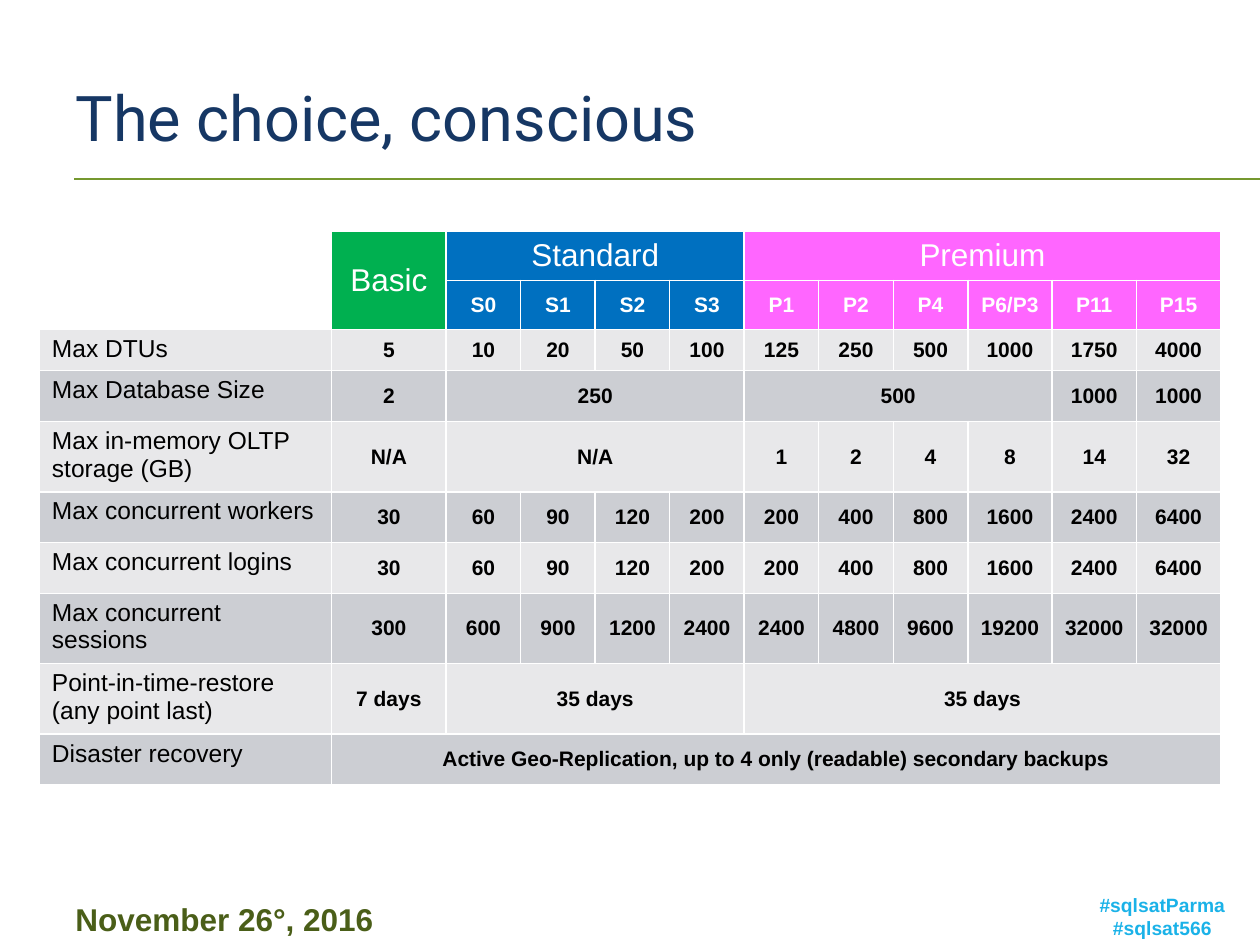
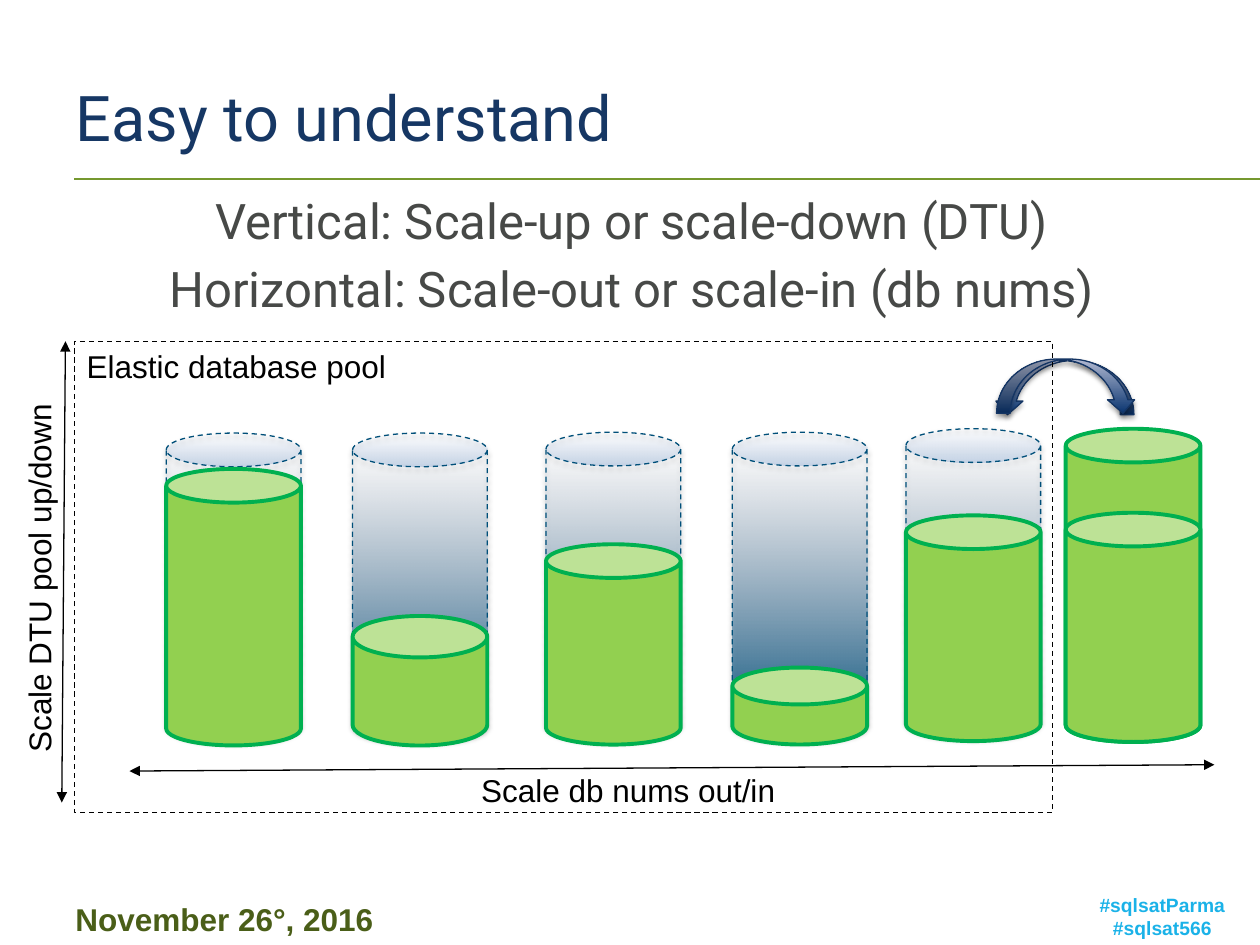
from typing import NamedTuple, Optional

from pptx import Presentation
from pptx.dml.color import RGBColor
from pptx.enum.dml import MSO_LINE
from pptx.enum.shapes import MSO_CONNECTOR, MSO_SHAPE
from pptx.enum.text import MSO_ANCHOR, MSO_AUTO_SIZE, PP_ALIGN
from pptx.oxml.ns import qn
from pptx.util import Pt
from lxml.etree import SubElement

WHITE = RGBColor(0xFF, 0xFF, 0xFF)
BLACK = RGBColor(0, 0, 0)
TITLE_NAVY = RGBColor(0x16, 0x37, 0x64)
BODY_GREY = RGBColor(0x47, 0x49, 0x47)
RULE_GREEN = RGBColor(0x75, 0x98, 0x2F)
DATE_GREEN = RGBColor(0x4A, 0x5E, 0x18)
HASHTAG_BLUE = RGBColor(0x1A, 0xB2, 0xE8)
BASIC_GREEN = RGBColor(0x00, 0xB0, 0x50)
STANDARD_BLUE = RGBColor(0x00, 0x70, 0xC0)
PREMIUM_PINK = RGBColor(0xFF, 0x66, 0xFF)
BAND_LIGHT = RGBColor(0xE8, 0xE8, 0xEA)
BAND_DARK = RGBColor(0xCC, 0xCE, 0xD3)
USED_GREEN = RGBColor(0x92, 0xD0, 0x50)
FREE_DARK = RGBColor(0x00, 0x51, 0x7C)
FREE_LIGHT = RGBColor(0xAA, 0xBE, 0xDE)
FREE_LINE = RGBColor(0x00, 0x4F, 0x79)
ARROW_DARK = RGBColor(0x0A, 0x35, 0x70)
ARROW_LIGHT = RGBColor(0xB2, 0xB9, 0xD1)
ARROW_LINE = RGBColor(0x14, 0x35, 0x64)

TITLE_FONT = "Roboto"
TEXT_FONT = "Arial"


class Box(NamedTuple):
    left: float
    top: float
    width: float
    height: float

    def points(self) -> tuple:
        return tuple(Pt(length) for length in self)


class TextStyle(NamedTuple):
    size: float
    color: RGBColor
    bold: bool = False
    font: str = TEXT_FONT
    align: PP_ALIGN = PP_ALIGN.LEFT


class Database(NamedTuple):
    """One cylinder: the used part, and the top of the free part above it."""
    left: float
    free_top: Optional[float]
    used_top: float
    used_height: float
    rim: float = 0.25


LABEL = TextStyle(18, BLACK)
TITLE = TextStyle(36, TITLE_NAVY, font=TITLE_FONT)
BODY = TextStyle(28, BODY_GREY, font=TITLE_FONT, align=PP_ALIGN.CENTER)
DATE = TextStyle(18, DATE_GREEN, bold=True)
HASHTAGS = TextStyle(11, HASHTAG_BLUE, bold=True, align=PP_ALIGN.CENTER)
TIER = TextStyle(18, WHITE, align=PP_ALIGN.CENTER)
LEVEL = TextStyle(12, WHITE, bold=True, align=PP_ALIGN.CENTER)
LIMIT_NAME = TextStyle(14, BLACK)
LIMIT_VALUE = TextStyle(12, BLACK, bold=True, align=PP_ALIGN.CENTER)

# None continues the cell on its left; in the second row, the cell above.
LIMITS = [
    ["", "Basic", "Standard", None, None, None, "Premium", None, None, None, None, None],
    [None, None, "S0", "S1", "S2", "S3", "P1", "P2", "P4", "P6/P3", "P11", "P15"],
    ["Max DTUs", "5", "10", "20", "50", "100", "125", "250", "500", "1000", "1750", "4000"],
    ["Max Database Size", "2", "250", None, None, None, "500", None, None, None, "1000", "1000"],
    ["Max in-memory OLTP storage (GB)", "N/A", "N/A", None, None, None,
     "1", "2", "4", "8", "14", "32"],
    ["Max concurrent workers", "30", "60", "90", "120", "200",
     "200", "400", "800", "1600", "2400", "6400"],
    ["Max concurrent logins", "30", "60", "90", "120", "200",
     "200", "400", "800", "1600", "2400", "6400"],
    ["Max concurrent sessions", "300", "600", "900", "1200", "2400",
     "2400", "4800", "9600", "19200", "32000", "32000"],
    ["Point-in-time-restore (any point last)", "7 days", "35 days", None, None, None,
     "35 days", None, None, None, None, None],
    ["Disaster recovery", "Active Geo-Replication, up to 4 only (readable) secondary backups",
     *[None] * 10],
]
COLUMN_WIDTHS = [167, 65.5] + [42.6] * 7 + [48.2] * 3
ROW_HEIGHTS = [27, 27, 23, 29, 39, 29, 29, 39, 39, 29]
HEADER_ROWS = 2

CYLINDER_WIDTH = 77
FREE_HEIGHT = 175.7
POOLED = [
    Database(95, 247.5, 268, 158),
    Database(201.5, 247.5, 352, 74, 0.32),
    Database(312, 247, 311, 114.5),
    Database(418.5, 247, 381.5, 44, 0.48),
    Database(517.7, 245, 294.5, 129),
]
OUTSIDE = [Database(609, None, 245, 179), Database(609, None, 293, 131)]


def write(frame, text: str, style: TextStyle) -> None:
    frame.text = text
    for paragraph in frame.paragraphs:
        paragraph.alignment = style.align
        for run in paragraph.runs:
            run.font.name, run.font.size = style.font, Pt(style.size)
            run.font.bold, run.font.color.rgb = style.bold, style.color


def add_label(slide, box: Box, text: str, style: TextStyle, rotation: float = 0) -> None:
    label = slide.shapes.add_textbox(*box.points())
    label.rotation = rotation
    label.text_frame.word_wrap = True
    write(label.text_frame, text, style)


def add_line(slide, start: tuple, end: tuple, color: RGBColor, width: float,
             arrows: bool = False) -> None:
    line = slide.shapes.add_connector(
        MSO_CONNECTOR.STRAIGHT, *(Pt(length) for length in start + end))
    line.line.color.rgb, line.line.width = color, Pt(width)
    properties = line.element.spPr
    if arrows:
        for end_tag in ("a:headEnd", "a:tailEnd"):
            SubElement(properties.find(qn("a:ln")), qn(end_tag), type="triangle")
    SubElement(properties, qn("a:effectLst"))


def fill_place(placeholder, box: Box, text: str, style: TextStyle, anchor: MSO_ANCHOR) -> None:
    placeholder.left, placeholder.top, placeholder.width, placeholder.height = box.points()
    frame = placeholder.text_frame
    frame.auto_size, frame.vertical_anchor = MSO_AUTO_SIZE.NONE, anchor
    write(frame, text, style)


def add_slide(deck, layout_index: int, title: str):
    """Add a slide with the title, the rule under it and the footer."""
    slide = deck.slides.add_slide(deck.slide_layouts[layout_index])
    add_label(slide, Box(608.4, 507, 111.6, 33), "#sqlsatParma\n#sqlsat566", HASHTAGS)
    add_label(slide, Box(36, 511, 200, 29), "November 26°, 2016", DATE)
    add_line(slide, (42.5, 102.2), (720, 102.2), RULE_GREEN, 1)
    fill_place(slide.shapes.title, Box(36, 21.6, 648, 90), title, TITLE, MSO_ANCHOR.MIDDLE)
    return slide


def cell_look(row: int, column: int) -> tuple:
    """Return the fill and the text style of a table cell."""
    if row < HEADER_ROWS:
        fill = (BASIC_GREEN if column < 2 else
                STANDARD_BLUE if column < 6 else PREMIUM_PINK)
        return fill, LEVEL if row else TIER
    return (BAND_DARK if row % 2 else BAND_LIGHT), LIMIT_VALUE if column else LIMIT_NAME


def add_borders(cell) -> None:
    properties = cell._tc.get_or_add_tcPr()
    for position, side in enumerate(("a:lnL", "a:lnR", "a:lnT", "a:lnB")):
        border = SubElement(properties, qn(side), w=str(Pt(1)))
        SubElement(SubElement(border, qn("a:solidFill")), qn("a:srgbClr"), val=str(WHITE))
        properties.insert(position, border)


def add_limits_table(slide) -> None:
    box = Box(22.5, 132, sum(COLUMN_WIDTHS), sum(ROW_HEIGHTS))
    table = slide.shapes.add_table(len(LIMITS), len(COLUMN_WIDTHS), *box.points()).table
    table.first_row = table.horz_banding = False
    for column, width in zip(table.columns, COLUMN_WIDTHS):
        column.width = Pt(width)
    for row, height in zip(table.rows, ROW_HEIGHTS):
        row.height = Pt(height)

    for row, texts in enumerate(LIMITS):
        for column, text in enumerate(texts):
            cell = table.cell(row, column)
            cell.margin_top = cell.margin_bottom = Pt(3.3)
            if row < HEADER_ROWS and column == 0:
                cell.fill.background()
                continue
            fill, style = cell_look(row, column)
            cell.fill.solid()
            cell.fill.fore_color.rgb = fill
            add_borders(cell)
            if column:
                cell.vertical_anchor = MSO_ANCHOR.MIDDLE
            if text:
                write(cell.text_frame, text, style)
                last = column
                while last + 1 < len(texts) and texts[last + 1] is None:
                    last += 1
                if last > column:
                    cell.merge(table.cell(row, last))
    for column in (0, 1):
        table.cell(0, column).merge(table.cell(1, column))


def add_outlined(shapes, kind: MSO_SHAPE, box: Box, color: RGBColor, width: float):
    shape = shapes.add_shape(kind, *box.points())
    shape.shadow.inherit = False
    shape.line.color.rgb, shape.line.width = color, Pt(width)
    return shape


def shade(shape, bottom: RGBColor, top: RGBColor, clear_top: bool = False) -> None:
    """Fill from bottom to top with a gradient, and add a soft shadow."""
    shape.fill.gradient()
    shape.fill.gradient_angle = 90
    for stop, color in zip(shape.fill.gradient_stops, (bottom, top)):
        stop.color.rgb = color
    properties = shape.element.spPr
    if clear_top:
        top_color = properties.find(qn("a:gradFill")).findall(".//" + qn("a:srgbClr"))[-1]
        SubElement(top_color, qn("a:alpha"), val="0")
    shadow = SubElement(properties.find(qn("a:effectLst")), qn("a:outerShdw"),
                        blurRad=str(Pt(3.1)), dist=str(Pt(1.8)), dir="5400000", rotWithShape="0")
    shadow_color = SubElement(shadow, qn("a:srgbClr"), val=str(BLACK))
    SubElement(shadow_color, qn("a:alpha"), val="35000")


def add_database(shapes, database: Database) -> None:
    if database.free_top is not None:
        box = Box(database.left, database.free_top, CYLINDER_WIDTH, FREE_HEIGHT)
        free = add_outlined(shapes, MSO_SHAPE.CAN, box, FREE_LINE, 0.75)
        free.line.dash_style = MSO_LINE.DASH
        shade(free, FREE_DARK, FREE_LIGHT, clear_top=True)
    box = Box(database.left, database.used_top, CYLINDER_WIDTH, database.used_height)
    used = add_outlined(shapes, MSO_SHAPE.CAN, box, BASIC_GREEN, 2.25)
    used.adjustments[0] = database.rim
    used.fill.solid()
    used.fill.fore_color.rgb = USED_GREEN


def add_move_arrow(slide, left: float, top: float, flipped: bool) -> None:
    arrow = add_outlined(slide.shapes, MSO_SHAPE.CURVED_DOWN_ARROW,
                         Box(left, top, 80, 31), ARROW_LINE, 0.75)
    shade(arrow, ARROW_DARK, ARROW_LIGHT)
    if flipped:
        arrow.element.spPr.find(qn("a:xfrm")).set("flipH", "1")


def add_scaling_text(slide) -> None:
    body = slide.placeholders[1]
    fill_place(body, Box(27.4, 105, 666.7, 85),
               "Vertical: Scale-up or scale-down (DTU)\nHorizontal: Scale-out or scale-in (db nums)",
               BODY, MSO_ANCHOR.TOP)
    for number, paragraph in enumerate(body.text_frame.paragraphs):
        paragraph.space_before = Pt(5.6 * number)
        properties = paragraph._p.get_or_add_pPr()
        properties.set("marL", "0")
        properties.set("indent", "0")
        SubElement(properties, qn("a:buNone"))


def add_elastic_pool(slide) -> None:
    add_database(slide.shapes, OUTSIDE[0])
    add_move_arrow(slide, 568, 206, flipped=True)
    add_move_arrow(slide, 569.5, 205.2, flipped=False)

    pool = add_outlined(slide.shapes, MSO_SHAPE.RECTANGLE, Box(42.5, 195, 559, 269.3), BLACK, 0.75)
    pool.fill.background()
    pool.line.dash_style = MSO_LINE.DASH
    pool.text_frame.vertical_anchor = MSO_ANCHOR.TOP
    write(pool.text_frame, "Elastic database pool", LABEL)

    for database in POOLED:
        add_database(slide.shapes.add_group_shape().shapes, database)
    add_database(slide.shapes, OUTSIDE[1])

    add_label(slide, Box(267.8, 437, 190, 29), "Scale db nums out/in", LABEL)
    add_line(slide, (694, 437), (74, 440.6), BLACK, 0.75, arrows=True)
    add_line(slide, (37.4, 195), (35.3, 458.6), BLACK, 0.75, arrows=True)
    add_label(slide, Box(-87.8, 312.5, 220.3, 29), "Scale DTU pool up/down", LABEL, rotation=270)


def main() -> None:
    deck = Presentation()
    deck.slide_width, deck.slide_height = Pt(720), Pt(540)

    add_limits_table(add_slide(deck, 5, "The choice, conscious"))

    scaling = add_slide(deck, 1, "Easy to understand")
    add_scaling_text(scaling)
    add_elastic_pool(scaling)

    deck.save("out.pptx")


if __name__ == "__main__":
    main()
